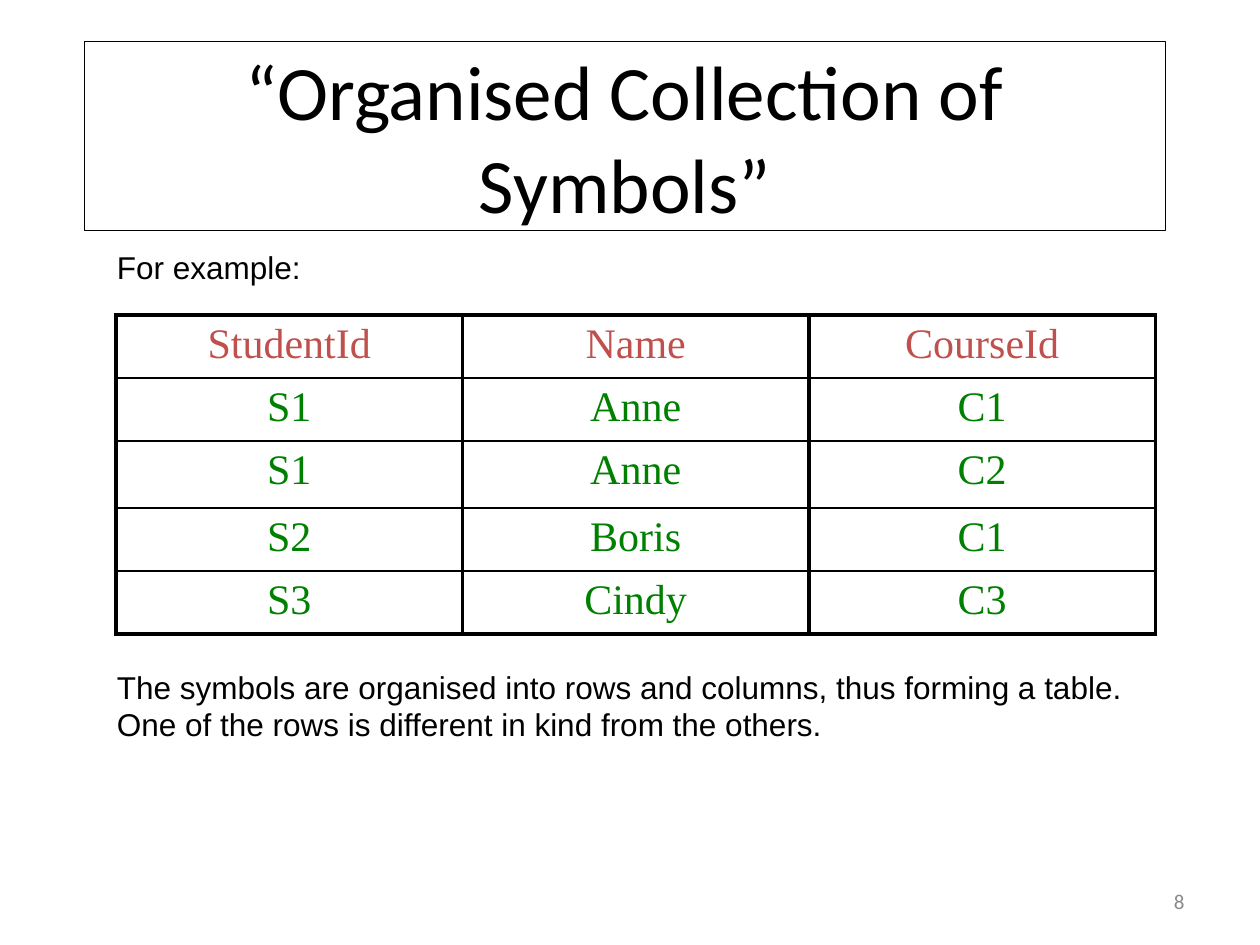
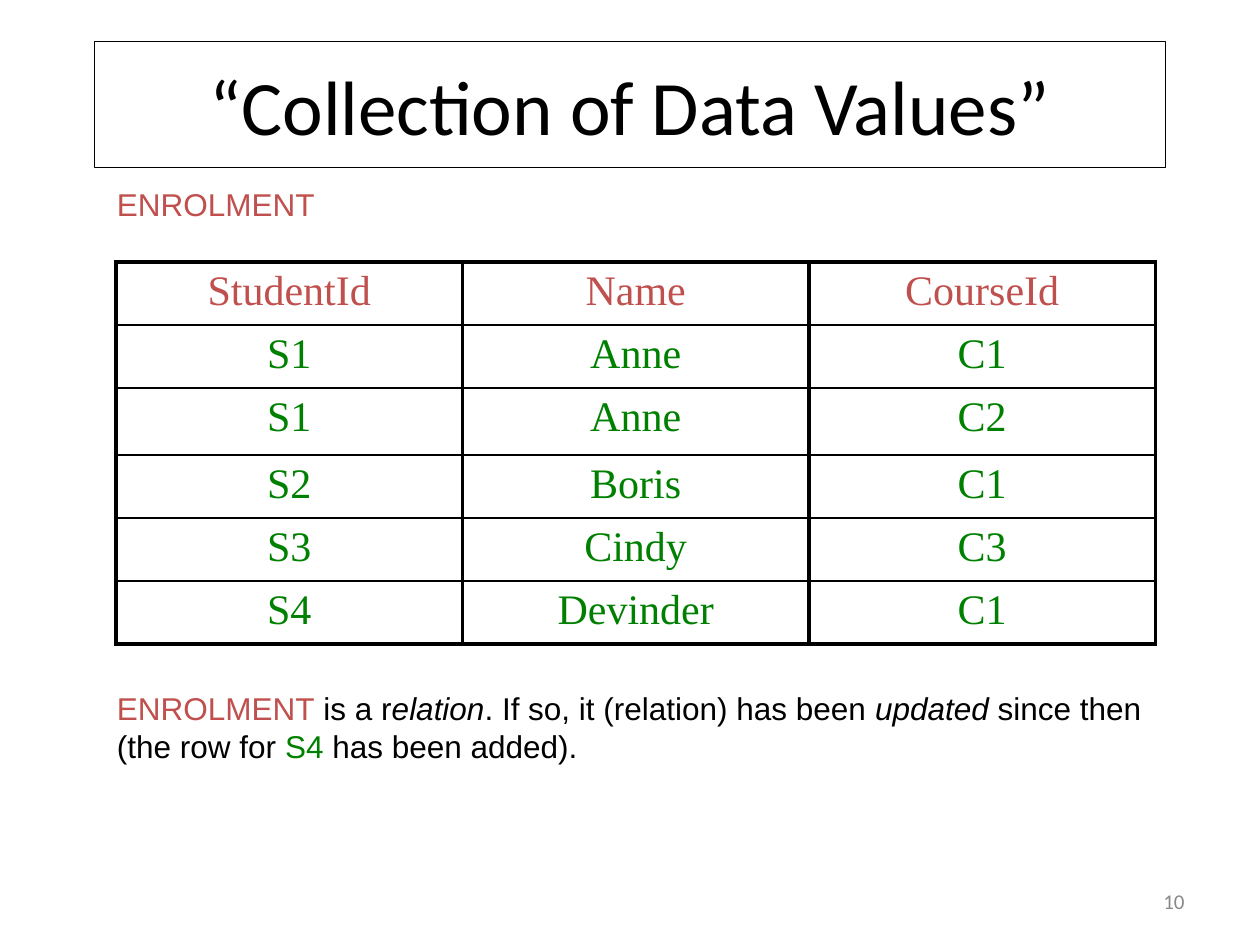
"""Build two slides that show tables of student enrolments."""
from lxml.etree import SubElement
from pptx import Presentation
from pptx.dml.color import RGBColor
from pptx.enum.shapes import MSO_SHAPE
from pptx.enum.text import MSO_ANCHOR, PP_ALIGN
from pptx.oxml import parse_xml
from pptx.oxml.ns import nsdecls, qn
from pptx.util import Inches, Pt

COLOURS = {"ink": "000000", "heading": "C0504D", "value": "008000", "number": "898989"}
HEADER = ("StudentId", "Name", "CourseId")
ENROLMENTS = [("S1", "Anne", "C1"), ("S1", "Anne", "C2"), ("S2", "Boris", "C1"), ("S3", "Cindy", "C3")]
COLUMN_WIDTH, ROW_HEIGHT, TALL_ROW_HEIGHT = 2.75, 0.5, 0.53
OUTER, INNER = 2.25, 1

SLIDES = [
    {
        "number": "8",
        "title": "“Organised Collection of Symbols”",
        "title_place": (0.67, 0.33, 8.58, 1.5),
        "label": [("For example:", "ink", False)],
        "label_place": (0.83, 1.92, 1.97, 0.5),
        "table_top": 2.5,
        "rows": ENROLMENTS,
        "remark": [("The symbols are organised into rows and columns, thus forming a table. "
                    "One of the rows is different in kind from the others.", "ink", False)],
        "remark_place": (0.83, 5.25, 8.52, 1.3),
    },
    {
        "number": "10",
        "title": "“Collection of Data Values”",
        "title_place": (0.75, 0.33, 8.5, 1),
        "label": [("ENROLMENT", "heading", False)],
        "label_place": (0.83, 1.42, 2.26, 0.5),
        "table_top": 2.08,
        "rows": ENROLMENTS + [("S4", "Devinder", "C1")],
        "remark": [
            ("ENROLMENT", "heading", False),
            (" is a r", "ink", False),
            ("elation", "ink", True),
            (". If so, it (relation) has been ", "ink", False),
            ("updated", "ink", True),
            (" since then (the row for ", "ink", False),
            ("S4", "value", False),
            (" has been added).", "ink", False),
        ],
        "remark_place": (0.83, 5.42, 8.52, 0.71),
    },
]


def write(frame, spans, font, size, align=PP_ALIGN.LEFT, anchor=MSO_ANCHOR.TOP):
    frame.word_wrap = True
    frame.vertical_anchor = anchor
    paragraph = frame.paragraphs[0]
    paragraph.alignment = align
    for text, colour, italic in spans:
        span = paragraph.add_run()
        span.text = text
        span.font.name = font
        span.font.size = Pt(size)
        span.font.italic = italic
        span.font.color.rgb = RGBColor.from_string(COLOURS[colour])


def set_borders(cell, top, bottom):
    properties = cell._tc.get_or_add_tcPr()
    sides = (("lnL", OUTER), ("lnR", OUTER), ("lnT", top), ("lnB", bottom))
    for position, (side, width) in enumerate(sides):
        line = parse_xml(f'<a:{side} {nsdecls("a")} w="{Pt(width)}"/>')
        fill = SubElement(line, qn("a:solidFill"))
        SubElement(fill, qn("a:srgbClr"), val=COLOURS["ink"])
        properties.insert(position, line)


deck = Presentation()
deck.slide_width, deck.slide_height = Inches(10), Inches(7.5)

for content in SLIDES:
    page = deck.slides.add_slide(deck.slide_layouts[6])

    number = page.shapes.add_textbox(Inches(7.17), Inches(6.95), Inches(2.33), Inches(0.4))
    write(number.text_frame, [(content["number"], "number", False)], "Calibri", 12,
          PP_ALIGN.RIGHT, MSO_ANCHOR.MIDDLE)

    title = page.shapes.add_shape(MSO_SHAPE.RECTANGLE, *map(Inches, content["title_place"]))
    title.shadow.inherit = False
    title.fill.background()
    title.line.color.rgb = RGBColor.from_string(COLOURS["ink"])
    title.line.width = Pt(0.75)
    write(title.text_frame, [(content["title"], "ink", False)], "Calibri", 44,
          PP_ALIGN.CENTER, MSO_ANCHOR.MIDDLE)

    rows = [HEADER] + content["rows"]
    last = len(rows) - 1
    table = page.shapes.add_table(
        len(rows), len(HEADER), Inches(0.92), Inches(content["table_top"]),
        Inches(COLUMN_WIDTH * len(HEADER)), Inches(ROW_HEIGHT * last + TALL_ROW_HEIGHT)).table
    table.first_row = table.horz_banding = False
    for column in table.columns:
        column.width = Inches(COLUMN_WIDTH)
    for r, values in enumerate(rows):
        table.rows[r].height = Inches(TALL_ROW_HEIGHT if r == 2 else ROW_HEIGHT)
        for c, value in enumerate(values):
            cell = table.cell(r, c)
            cell.fill.background()
            set_borders(cell, OUTER if r == 0 else INNER, OUTER if r == last else INNER)
            write(cell.text_frame, [(value, "value" if r else "heading", False)],
                  "Times New Roman", 24, PP_ALIGN.CENTER)

    for part in ("label", "remark"):
        box = page.shapes.add_textbox(*map(Inches, content[f"{part}_place"]))
        write(box.text_frame, content[part], "Arial", 18)

deck.save("out.pptx")
